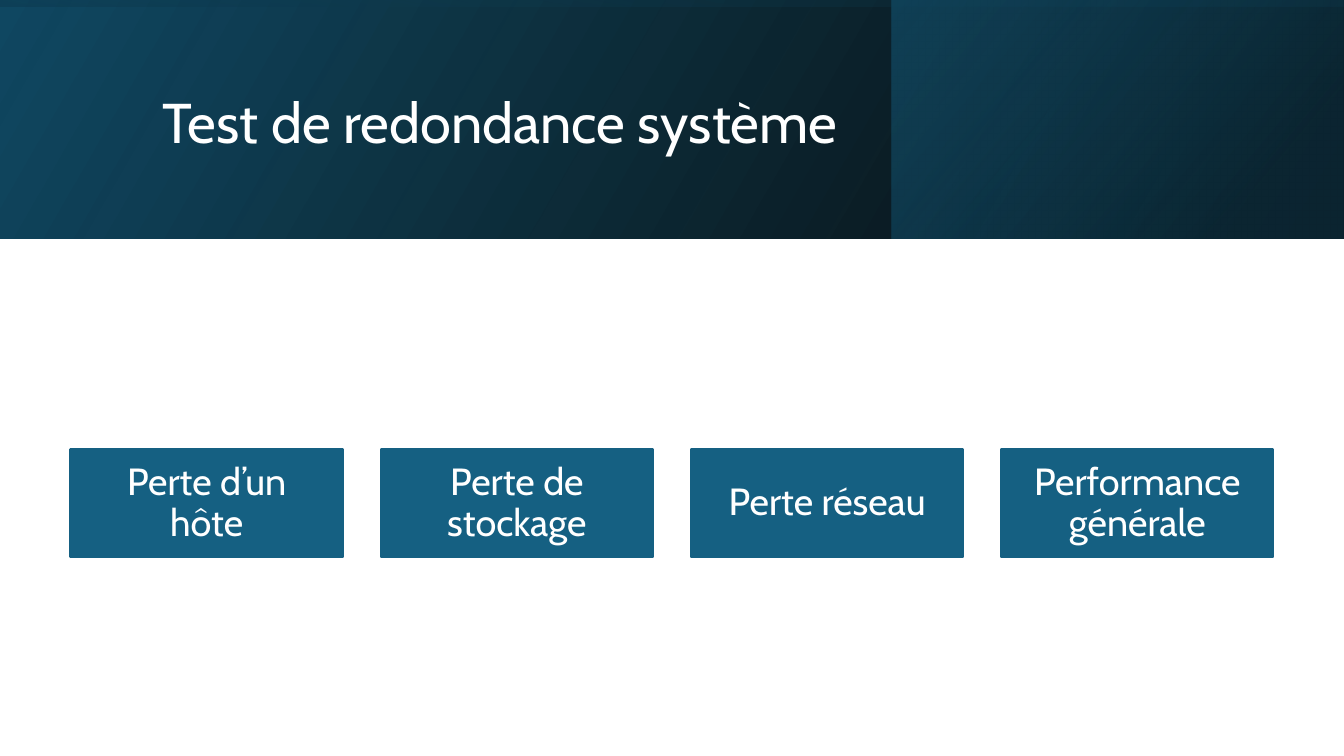
import pptx
import pptx.util
import pptx.dml.color
import pptx.enum.shapes
import pptx.enum.text
import pptx.oxml
import pptx.oxml.ns

Inches = pptx.util.Inches
Pt = pptx.util.Pt

# Content
TITLE = "Test de redondance système"
TESTS = ["Perte d’un hôte", "Perte de stockage", "Perte réseau", "Performance générale"]

FONT = "Cabin"
COLORS = {"white": "FFFFFF", "black": "000000", "box": "156082",
          "blue": "104862", "deep": "0B3041"}

# Banner layers: left, top, width, height, rotation, gradient angle,
# then stops as position %, colour, opacity %
SLIDE_WIDTH, SLIDE_HEIGHT, BANNER_HEIGHT = 13.33, 7.5, 2.37
TURNED_LEFT = (SLIDE_WIDTH - BANNER_HEIGHT) / 2
BANNER = [
    (0, 0, SLIDE_WIDTH, BANNER_HEIGHT, 0, 330,
     [(0, "black", 96), (100, "blue", 100)]),
    (8.84, 0, 4.48, BANNER_HEIGHT, 0, 320,
     [(19, "deep", 68), (100, "box", 48)]),
    (TURNED_LEFT, -TURNED_LEFT, BANNER_HEIGHT, SLIDE_WIDTH, 270, 350,
     [(23, "blue", 16), (99, "black", 45)]),
]

# Row of boxes
ROW_LEFT, ROW_RIGHT, ROW_TOP = 0.7, 12.63, 4.46
BOX_WIDTH, BOX_HEIGHT = 2.7, 1.07
BOX_PITCH = (ROW_RIGHT - ROW_LEFT - BOX_WIDTH) / (len(TESTS) - 1)


def color(name):
    return pptx.dml.color.RGBColor.from_string(COLORS[name])


def add_rectangle(slide, left, top, width, height):
    shape = slide.shapes.add_shape(
        pptx.enum.shapes.MSO_SHAPE.RECTANGLE,
        Inches(left), Inches(top), Inches(width), Inches(height))
    shape.shadow.inherit = False
    return shape


def set_gradient(shape, angle, stops):
    """Replace the fill with a linear gradient whose stops have opacity."""
    stop_xml = "".join(
        f'<a:gs pos="{position * 1000}"><a:srgbClr val="{COLORS[name]}">'
        f'<a:alpha val="{opacity * 1000}"/></a:srgbClr></a:gs>'
        for position, name, opacity in stops)
    gradient = pptx.oxml.parse_xml(
        f'<a:gradFill {pptx.oxml.ns.nsdecls("a")} rotWithShape="1">'
        f'<a:gsLst>{stop_xml}</a:gsLst>'
        f'<a:lin ang="{angle * 60000}" scaled="0"/></a:gradFill>')
    shape.fill.background()
    properties = shape.element.spPr
    properties.replace(properties.find(pptx.oxml.ns.qn("a:noFill")), gradient)


def write_text(shape, text, size, alignment):
    frame = shape.text_frame
    frame.word_wrap = True
    frame.auto_size = pptx.enum.text.MSO_AUTO_SIZE.NONE
    frame.vertical_anchor = pptx.enum.text.MSO_ANCHOR.MIDDLE
    paragraph = frame.paragraphs[0]
    paragraph.alignment = alignment
    paragraph.line_spacing = 0.9
    run = paragraph.add_run()
    run.text = text
    run.font.name = FONT
    run.font.size = Pt(size)
    run.font.color.rgb = color("white")
    return frame


def main():
    presentation = pptx.Presentation()
    presentation.slide_width = Inches(SLIDE_WIDTH)
    presentation.slide_height = Inches(SLIDE_HEIGHT)
    slide = presentation.slides.add_slide(presentation.slide_layouts[5])
    title = slide.shapes.title

    # Banner
    for left, top, width, height, rotation, angle, stops in BANNER:
        layer = add_rectangle(slide, left, top, width, height)
        layer.line.fill.background()
        set_gradient(layer, angle, stops)
        layer.rotation = rotation
        layer.element.spPr.xfrm.set("flipH", "1")

    # Title, moved in front of the banner
    slide.shapes.element.append(title.element)
    title.left, title.top = Inches(1.51), Inches(0.38)
    title.width, title.height = Inches(10.63), Inches(1.72)
    write_text(title, TITLE, 40, pptx.enum.text.PP_ALIGN.LEFT)

    # Test boxes
    for index, test in enumerate(TESTS):
        box = add_rectangle(slide, ROW_LEFT + index * BOX_PITCH, ROW_TOP,
                            BOX_WIDTH, BOX_HEIGHT)
        box.fill.solid()
        box.fill.fore_color.rgb = color("box")
        box.line.color.rgb = color("box")
        box.line.width = Pt(1.5)
        frame = write_text(box, test, 27, pptx.enum.text.PP_ALIGN.CENTER)
        frame.margin_left = frame.margin_right = Inches(0.21)
        frame.margin_top = frame.margin_bottom = Inches(0.12)

    presentation.save("out.pptx")


if __name__ == "__main__":
    main()
